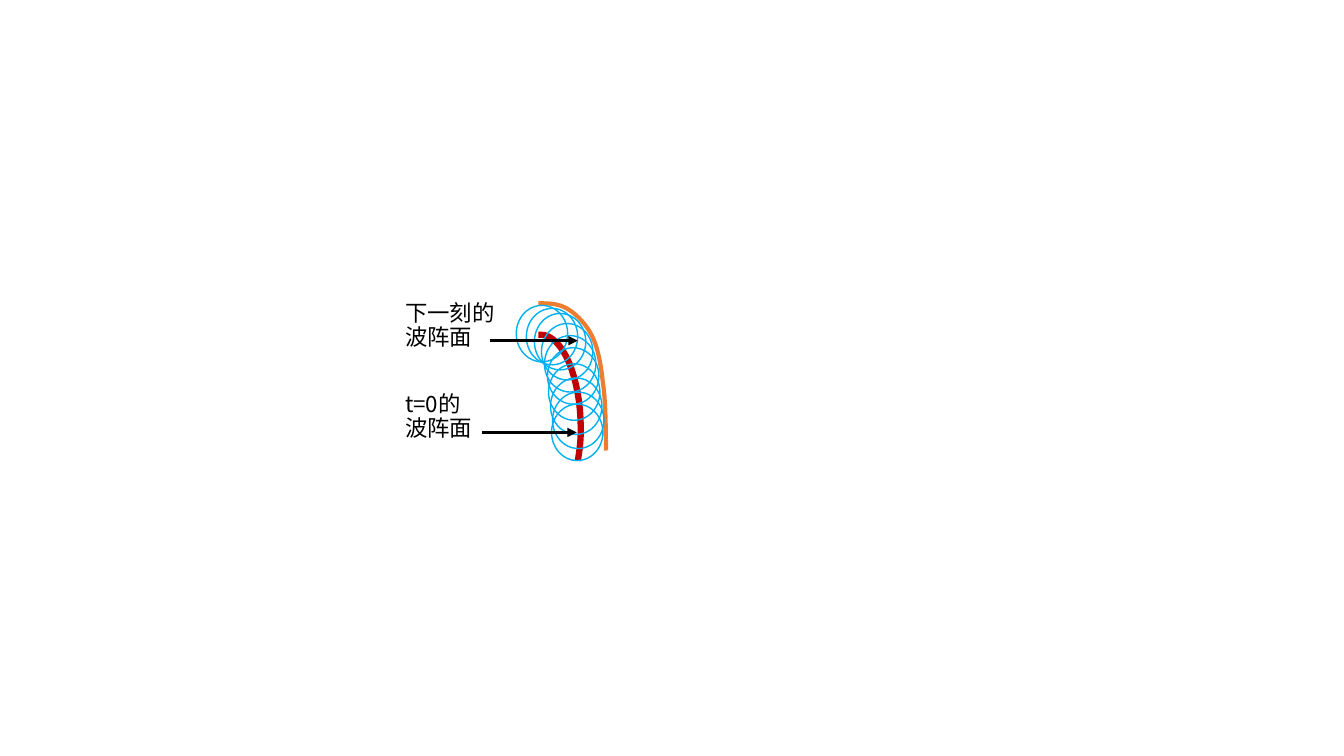
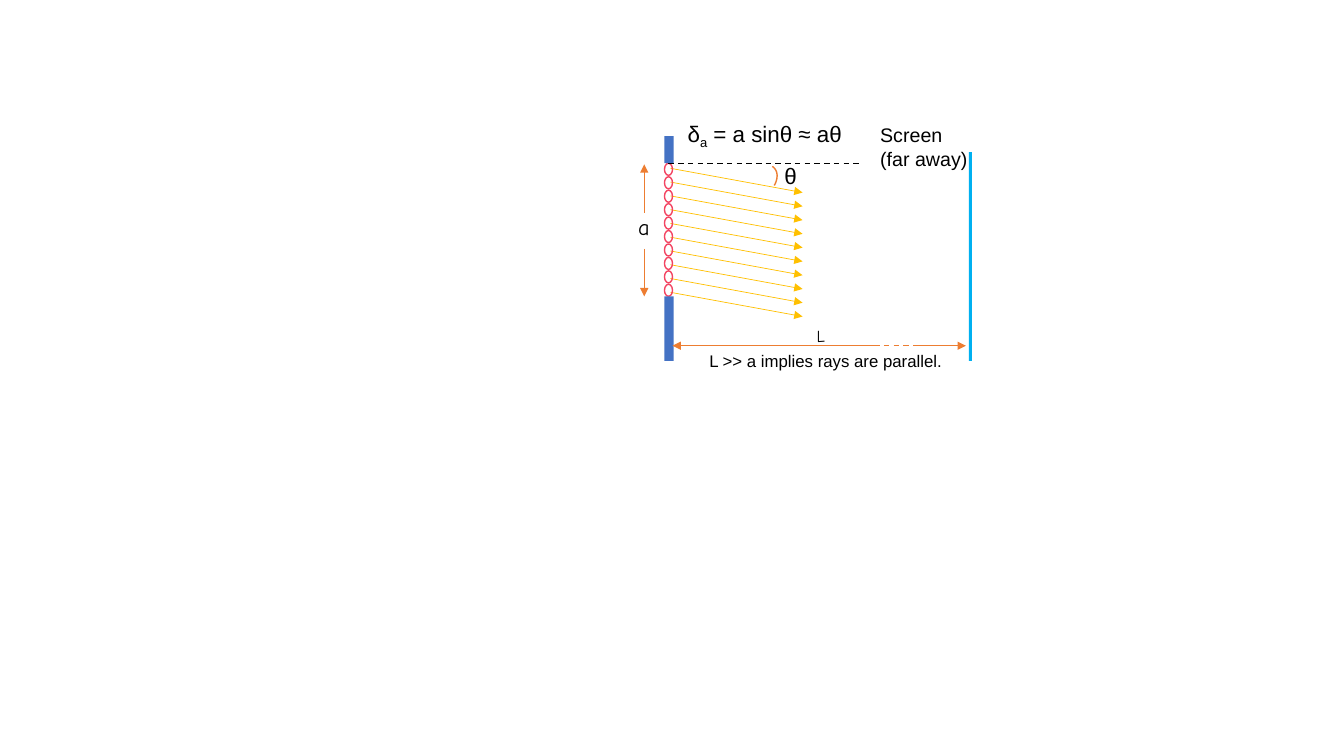
"""Build two wave optics diagrams: wavefront construction and single slit geometry."""
import lxml.etree
import pptx
import pptx.dml.color
import pptx.enum.dml
import pptx.enum.shapes
import pptx.enum.text
import pptx.oxml.ns
import pptx.util

Inches = pptx.util.Inches
Pt = pptx.util.Pt
rgb = pptx.dml.color.RGBColor.from_string
qn = pptx.oxml.ns.qn
SHAPE = pptx.enum.shapes.MSO_SHAPE
ALIGN = pptx.enum.text.PP_ALIGN
ANCHOR = pptx.enum.text.MSO_ANCHOR

BLACK = "000000"
ORANGE = "ED7D31"
DARK_RED = "C00000"
SKY = "00B0F0"
BLUE = "4472C4"
YELLOW = "FFC000"
PINK = "F34462"
CHINESE = "Noto Sans CJK SC"
HAND = "Comic Neue"


def add_line(page, start, end, color, width, ends=(), dashed=False):
    """Draw a straight line with optional arrowheads and dashes."""
    line = page.shapes.add_connector(
        pptx.enum.shapes.MSO_CONNECTOR.STRAIGHT,
        *[Inches(value) for value in (*start, *end)])
    line.line.color.rgb = rgb(color)
    line.line.width = Pt(width)
    if dashed:
        line.line.dash_style = pptx.enum.dml.MSO_LINE.DASH
    outline = line.line._get_or_add_ln()
    for name in ends:
        lxml.etree.SubElement(outline, qn("a:" + name), type="triangle")
    lxml.etree.SubElement(line._element.spPr, qn("a:effectLst"))


def add_text(page, place, paragraphs, size, font, inset=(0, 0), wrap=True,
             spacing=None, align=ALIGN.LEFT, anchor=ANCHOR.TOP):
    """Write paragraphs, each a list of (text, baseline) runs."""
    box = page.shapes.add_textbox(*[Inches(value) for value in place])
    frame = box.text_frame
    frame.word_wrap = wrap
    frame.vertical_anchor = anchor
    frame.margin_left = frame.margin_right = Inches(inset[0])
    frame.margin_top = frame.margin_bottom = Inches(inset[1])
    for index, spans in enumerate(paragraphs):
        para = frame.add_paragraph() if index else frame.paragraphs[0]
        para.alignment = align
        para.line_spacing = spacing
        for text, baseline in spans:
            span = para.add_run()
            span.text = text
            span.font.size = Pt(size)
            span.font.name = font
            span.font.color.rgb = rgb(BLACK)
            properties = span.font._element
            lxml.etree.SubElement(properties, qn("a:ea"), typeface=font)
            if baseline:
                properties.set("baseline", str(baseline))


deck = pptx.Presentation()
deck.slide_width = Inches(13.33)
deck.slide_height = Inches(7.5)
wave_page = deck.slides.add_slide(deck.slide_layouts[6])
slit_page = deck.slides.add_slide(deck.slide_layouts[6])

CURVES = [
    (wave_page, DARK_RED, 4.5, [
        (5.34, 3.32), (5.34, 3.32), (5.35, 3.32), (5.36, 3.32),
        (5.58, 3.32), (5.76, 3.74), (5.76, 4.26),
        (5.76, 4.36), (5.75, 4.47), (5.73, 4.57)]),
    (wave_page, ORANGE, 3, [
        (5.34, 3.01), (5.44, 3.01), (5.53, 3.01), (5.62, 3.06),
        (5.71, 3.11), (5.81, 3.21), (5.87, 3.33),
        (5.93, 3.45), (5.96, 3.61), (5.98, 3.8),
        (6.01, 3.98), (6.01, 4.36), (6.01, 4.47)]),
    (slit_page, ORANGE, 1, [
        (7.66, 1.65), (7.72, 1.69), (7.72, 1.77), (7.68, 1.84)]),
]
STEPS = 16
for page, color, width, controls in CURVES:
    points = []
    for first in range(0, len(controls) - 1, 3):
        for step in range(1, STEPS + 1):
            t = step / STEPS
            weights = ((1 - t) ** 3, 3 * t * (1 - t) ** 2, 3 * t * t * (1 - t), t ** 3)
            points.append([
                Inches(sum(weight * control[axis] for weight, control
                           in zip(weights, controls[first:first + 4])))
                for axis in (0, 1)])
    start_x, start_y = controls[0]
    builder = page.shapes.build_freeform(Inches(start_x), Inches(start_y))
    builder.add_line_segments(points, close=False)
    curve = builder.convert_to_shape()
    curve.shadow.inherit = False
    curve.fill.background()
    curve.line.color.rgb = rgb(color)
    curve.line.width = Pt(width)

WAVELETS = [(5.12, 3.03), (5.22, 3.06), (5.3, 3.11), (5.37, 3.21), (5.4, 3.33),
            (5.43, 3.45), (5.44, 3.61), (5.46, 3.75), (5.48, 3.89), (5.47, 4.01)]
SLIT_TOP, SLIT_BOTTOM, SOURCES = 1.62, 2.94, 10
source_gap = (SLIT_BOTTOM - 0.12 - SLIT_TOP) / (SOURCES - 1)
ray_gap = (2.9 - 1.67) / (SOURCES - 1)

for index in range(SOURCES):
    ray_y = 1.67 + index * ray_gap
    add_line(slit_page, (6.65, ray_y), (7.96, ray_y + 0.24), YELLOW, 0.5, ["tailEnd"])

rings = [(wave_page, left, top, 0.51, 0.56, SKY) for left, top in WAVELETS]
rings += [(slit_page, 6.59, SLIT_TOP + index * source_gap, 0.08, 0.12, PINK)
          for index in range(SOURCES)]
for page, *place, color in rings:
    ring = page.shapes.add_shape(SHAPE.OVAL, *[Inches(value) for value in place])
    ring.shadow.inherit = False
    ring.fill.background()
    ring.line.color.rgb = rgb(color)
    ring.line.width = Pt(1)

for left, top, width, bottom, color in [
        (6.59, 1.35, 0.09, SLIT_TOP, BLUE),
        (6.59, SLIT_BOTTOM, 0.09, 3.58, BLUE),
        (9.61, 1.51, 0.03, 3.58, SKY)]:
    bar = slit_page.shapes.add_shape(
        SHAPE.RECTANGLE, Inches(left), Inches(top), Inches(width), Inches(bottom - top))
    bar.shadow.inherit = False
    bar.fill.solid()
    bar.fill.fore_color.rgb = rgb(color)
    bar.line.fill.background()

for top, width, heading, arrow_start, arrow_end in [
        (3.85, 1.57, "t=0的", (4.78, 4.29), (5.72, 4.29)),
        (2.95, 1.78, "下一刻的", (4.86, 3.38), (5.73, 3.38))]:
    add_text(wave_page, (3.92, top, width, 0.58), [[(heading, 0)], [("波阵面", 0)]],
             16, CHINESE, inset=(0.1, 0.05), spacing=0.9)
    add_line(wave_page, arrow_start, arrow_end, BLACK, 2.25, ["tailEnd"])

add_line(slit_page, (6.63, SLIT_TOP), (8.53, SLIT_TOP), BLACK, 1, dashed=True)
add_line(slit_page, (6.39, 2.11), (6.39, 1.63), ORANGE, 1, ["tailEnd"])
add_line(slit_page, (6.39, 2.47), (6.39, 2.94), ORANGE, 1, ["tailEnd"])
add_line(slit_page, (6.67, 3.43), (8.67, 3.43), ORANGE, 1, ["headEnd"])
add_line(slit_page, (8.67, 3.43), (9.08, 3.43), ORANGE, 1, dashed=True)
add_line(slit_page, (9.58, 3.43), (9.08, 3.43), ORANGE, 1, ["headEnd"])

add_text(slit_page, (8.73, 1.22, 1.07, 0.47),
         [[("Screen", 0)], [("(far away)", 0)]], 14, "Arial")
add_text(slit_page, (6.82, 1.19, 1.75, 0.27),
         [[("δ", 0), ("a", -25000), (" = a sinθ ≈ aθ", 0)]], 16, "Arial")
add_text(slit_page, (7.78, 1.61, 0.12, 0.27), [[("θ", 0)]], 16, "Arial", wrap=False)
add_text(slit_page, (6.33, 2.11, 0.11, 0.27), [[("a", 0)]], 16, HAND, wrap=False)
for place, caption, font in [
        ((6.9, 3.43, 2.58, 0.3), "L >> a implies rays are parallel.", "Arial"),
        ((8, 3.18, 0.25, 0.3), "L", HAND)]:
    add_text(slit_page, place, [[(caption, 0)]], 12, font, inset=(0.1, 0.05),
             align=ALIGN.CENTER, anchor=ANCHOR.MIDDLE)

deck.save("out.pptx")
